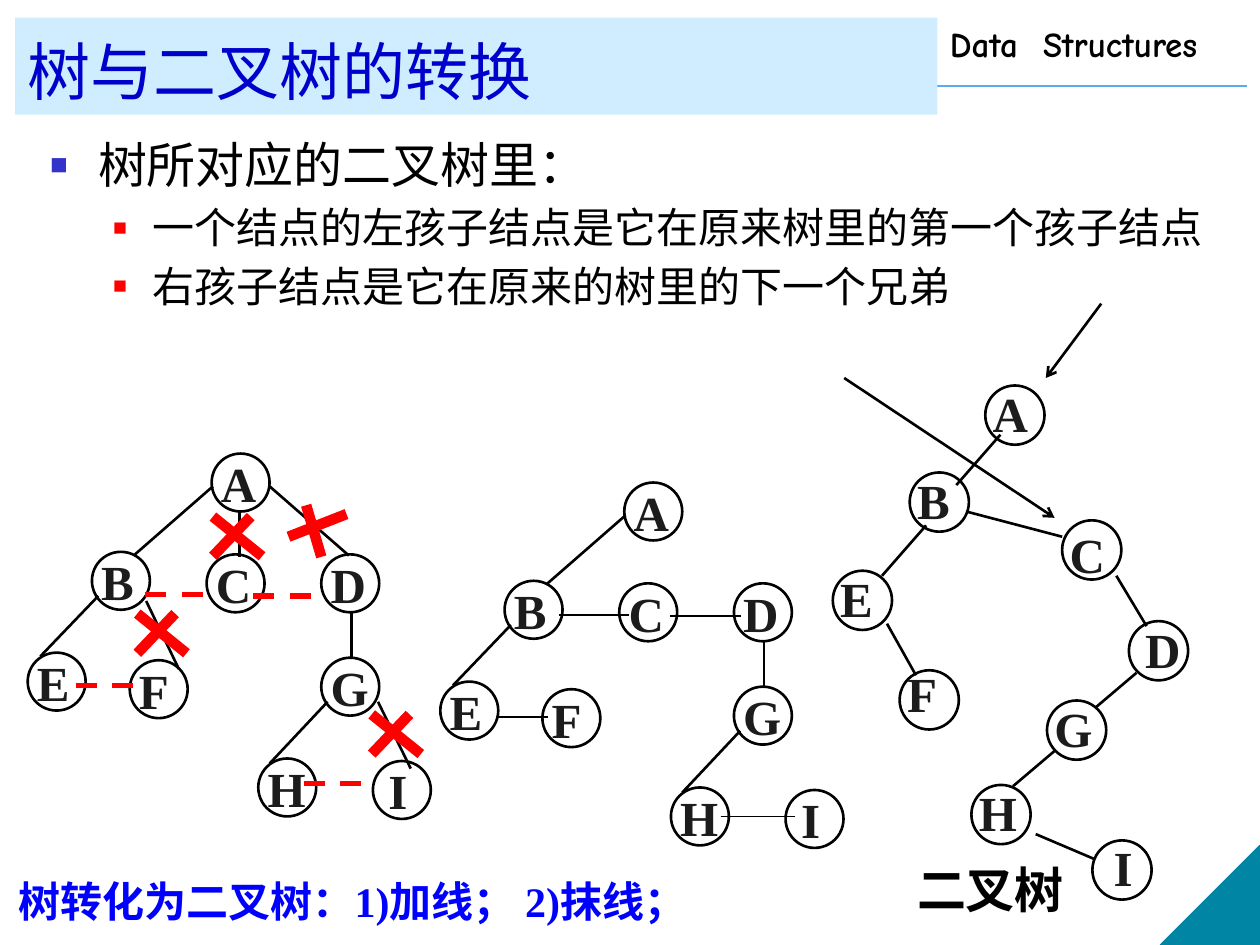
from pptx import Presentation, util as u
from pptx.dml.color import RGBColor
from pptx.enum import dml, shapes, text
from pptx.oxml.ns import qn
from lxml import etree

# The slide is a grid of 100 columns by 75 rows; all places are in cells.
COLS, ROWS = 100, 75
CELL = u.Inches(0.1)

HUE = {
    "black": "000000", "white": "FFFFFF", "ink": "1C1C1C", "red": "FF0000",
    "band": "CFEDFE", "title": "0000CC", "note": "0000FF", "mark": "3333CC",
    "rule": "5AAAED", "corner": "0085A4",
}
SERIF, SANS, HAND = "Times New Roman", "Lato", "Comic Neue"

# Left tree; the middle one is the same tree, moved by SHIFT.
TREE = {
    "A": (16.8, 36), "B": (7.3, 43.8), "C": (16.4, 44), "D": (25.5, 44),
    "E": (2.2, 51.8), "F": (10.3, 52.4), "G": (25.5, 52.2),
    "H": (20.5, 60.2), "I": (29.6, 60.4),
}
SHIFT = (32.75, 2.3)
KEPT = [(16.9, 38.6, 10.6, 44.1), (7.8, 47.3, 3.2, 52.1),
        (27.9, 48.6, 27.9, 52.2), (26, 55.7, 21.4, 60.6)]
CUT = [(21.4, 38.6, 27.7, 44.1), (19, 40.6, 19, 44.2),
       (11.6, 47.7, 14.2, 53.1), (30, 55.7, 32.6, 61)]
ADDED = [(11.5, 47.2, 17, 47.2), (20.1, 47.3, 25.7, 47.3),
         (6, 54.4, 11.5, 54.4), (24.1, 62.2, 29.6, 62.2)]
JOINS = [(44.4, 48.8, 49.9, 48.8), (53.2, 48.9, 58.8, 48.9),
         (39.5, 56.9, 43.5, 56.9), (57.2, 64.8, 63.1, 64.8)]
CROSSES = [(10.9, 48.7), (16.9, 41), (29.5, 56.7)]
TILTED = [(22.9, 42.6, 27.5, 40.8), (24.3, 40.1, 25.5, 44.2)]

BINARY = {
    "A": (78.2, 30.6), "B": (72.2, 37.5), "E": (66.1, 45.3),
    "C": (84.3, 41.3), "F": (71.4, 53.2), "D": (89.6, 49.3),
    "G": (83.1, 55.6), "H": (77.1, 62.3), "I": (86.7, 66.7),
}
LINKS = [(79.4, 34.5, 75.9, 38.5), (73.5, 41.7, 70, 45.7),
         (88.6, 45.7, 91, 49.7), (76.7, 40.6, 84.3, 42.6),
         (70.4, 49.5, 72.7, 53.6), (90.2, 53.4, 86.9, 56.2),
         (83.7, 59.6, 80.4, 62.4), (82.2, 66.2, 86.9, 68.2)]
ARROWS = [(87.4, 24.1, 83, 30), (67, 30, 83.7, 41.1)]


def span(*cells):
    return [int(c * CELL) for c in cells]


def rgb(name):
    return RGBColor.from_string(HUE[name])


def shape(slide, kind, place, fill, edge=None, width=0.75):
    item = slide.shapes.add_shape(kind, *span(*place))
    item.shadow.inherit = False
    item.fill.solid()
    item.fill.fore_color.rgb = rgb(fill)
    if edge:
        item.line.color.rgb = rgb(edge)
        item.line.width = u.Pt(width)
    else:
        item.line.fill.background()
    return item


def line(slide, ends, color="black", width=1.5, dash=False, arrow=False):
    item = slide.shapes.add_connector(shapes.MSO_CONNECTOR.STRAIGHT, *span(*ends))
    item.line.color.rgb = rgb(color)
    item.line.width = u.Pt(width)
    if dash:
        item.line.dash_style = dml.MSO_LINE.DASH
    if arrow:
        etree.SubElement(item.line._get_or_add_ln(), qn("a:tailEnd"), type="arrow")
    etree.SubElement(item._element.spPr, qn("a:effectLst"))


def write(par, words, size, font, color, bold=False):
    run = par.add_run()
    run.text = words
    run.font.size = u.Pt(size)
    run.font.name = font
    run.font.bold = bold
    run.font.color.rgb = rgb(color)


def box(slide, place):
    frame = slide.shapes.add_textbox(*span(*place)).text_frame
    frame.word_wrap = True
    return frame


def bullet(par, color, share, left, hang):
    props = par._p.get_or_add_pPr()
    props.set("marL", str(u.Inches(left)))
    props.set("indent", str(-u.Inches(hang)))
    tint = etree.SubElement(props, qn("a:buClr"))
    etree.SubElement(tint, qn("a:srgbClr"), val=HUE[color])
    etree.SubElement(props, qn("a:buSzPct"), val=str(share * 1000))
    etree.SubElement(props, qn("a:buFont"), typeface="Arial")
    etree.SubElement(props, qn("a:buChar"), char="■")


def node(slide, name, spot, side, label):
    """Draw a circle; label is the letter box, measured from the circle."""
    col, row = spot
    shape(slide, shapes.MSO_SHAPE.OVAL, (col, row, side, side),
          "white", "black", 1.5)
    dx, dy, wide, high = label
    par = box(slide, (col + dx, row + dy, wide, high)).paragraphs[0]
    par.alignment = text.PP_ALIGN.JUSTIFY
    write(par, name, 28, SERIF, "ink", True)


def tree(slide, edges, shift=(0, 0)):
    dx, dy = shift
    for name, (col, row) in TREE.items():
        inset = 0.25 if name == "I" else -0.25
        node(slide, name, (col + dx, row + dy), 4.6, (inset, -0.5, 6.3, 7.3))
    for x, y, x2, y2 in edges:
        line(slide, (x + dx, y + dy, x2 + dx, y2 + dy))


def binary(slide):
    nudge = {"C": (-0.4, -0.2), "F": (-0.4, -1), "D": (0.3, -0.6), "I": (0.7, -0.7)}
    for name, spot in BINARY.items():
        move = nudge.get(name, (-0.4, -0.65))
        node(slide, name, spot, 4.7, (*move, 7.1, 6.1))
    for ends in LINKS:
        line(slide, ends)
    par = box(slide, (71.8, 67.7, 14.1, 6)).paragraphs[0]
    write(par, "二叉树", 28, SERIF, "black", True)


def crosses(slide):
    strokes = list(TILTED)
    for x, y in CROSSES:
        strokes += [(x, y, x + 3.9, y + 3.15), (x + 3, y, x, y + 3.15)]
    for ends in strokes:
        line(slide, ends, "red", 6)


def frame(slide):
    """Draw the header rule, the corner, the course name and the title."""
    line(slide, (2, 6.8, 99, 6.8), "rule", 1)
    side = 7.9
    corner = shape(slide, shapes.MSO_SHAPE.RIGHT_TRIANGLE,
                   (COLS - side, ROWS - side, side, side), "corner", "corner")
    corner._element.spPr.find(qn("a:xfrm")).set("flipH", "1")
    par = box(slide, (74.4, 1.3, 26, 4.3)).paragraphs[0]
    tabs = etree.SubElement(par._p.get_or_add_pPr(), qn("a:tabLst"))
    etree.SubElement(tabs, qn("a:tab"), pos=str(u.Inches(0.74)), algn="l")
    write(par, "Data\tStructures", 20, HAND, "black", True)
    band = shape(slide, shapes.MSO_SHAPE.RECTANGLE, (1.2, 1.4, 73.2, 7.7), "band")
    band.text_frame.vertical_anchor = text.MSO_ANCHOR.BOTTOM
    par = band.text_frame.paragraphs[0]
    par.alignment = text.PP_ALIGN.LEFT
    write(par, "树与二叉树的转换", 36, SANS, "title")


def body(slide):
    words = box(slide, (3, 10.2, 95, 18.8))
    par = words.paragraphs[0]
    bullet(par, "mark", 60, 0.38, 0.38)
    write(par, "树所对应的二叉树里：", 28, SANS, "black")
    for point in ("一个结点的左孩子结点是它在原来树里的第一个孩子结点",
                  "右孩子结点是它在原来的树里的下一个兄弟"):
        par = words.add_paragraph()
        par.level = 1
        par.space_before = u.Pt(4.8)
        bullet(par, "red", 55, 0.81, 0.31)
        write(par, point, 24, SANS, "black")


def main():
    deck = Presentation()
    deck.slide_width, deck.slide_height = COLS * CELL, ROWS * CELL
    slide = deck.slides.add_slide(deck.slide_layouts[6])
    frame(slide)
    body(slide)
    par = box(slide, (0.5, 69, 85, 5)).paragraphs[0]
    write(par, "树转化为二叉树：1)加线； 2)抹线；", 24, SERIF, "note", True)
    binary(slide)
    tree(slide, KEPT + CUT)
    for ends in ADDED:
        line(slide, ends, "red", 3, dash=True)
    tree(slide, KEPT, SHIFT)
    for ends in JOINS:
        line(slide, ends, width=0.75)
    crosses(slide)
    for ends in ARROWS:
        line(slide, ends, arrow=True)
    deck.save("out.pptx")


if __name__ == "__main__":
    main()
